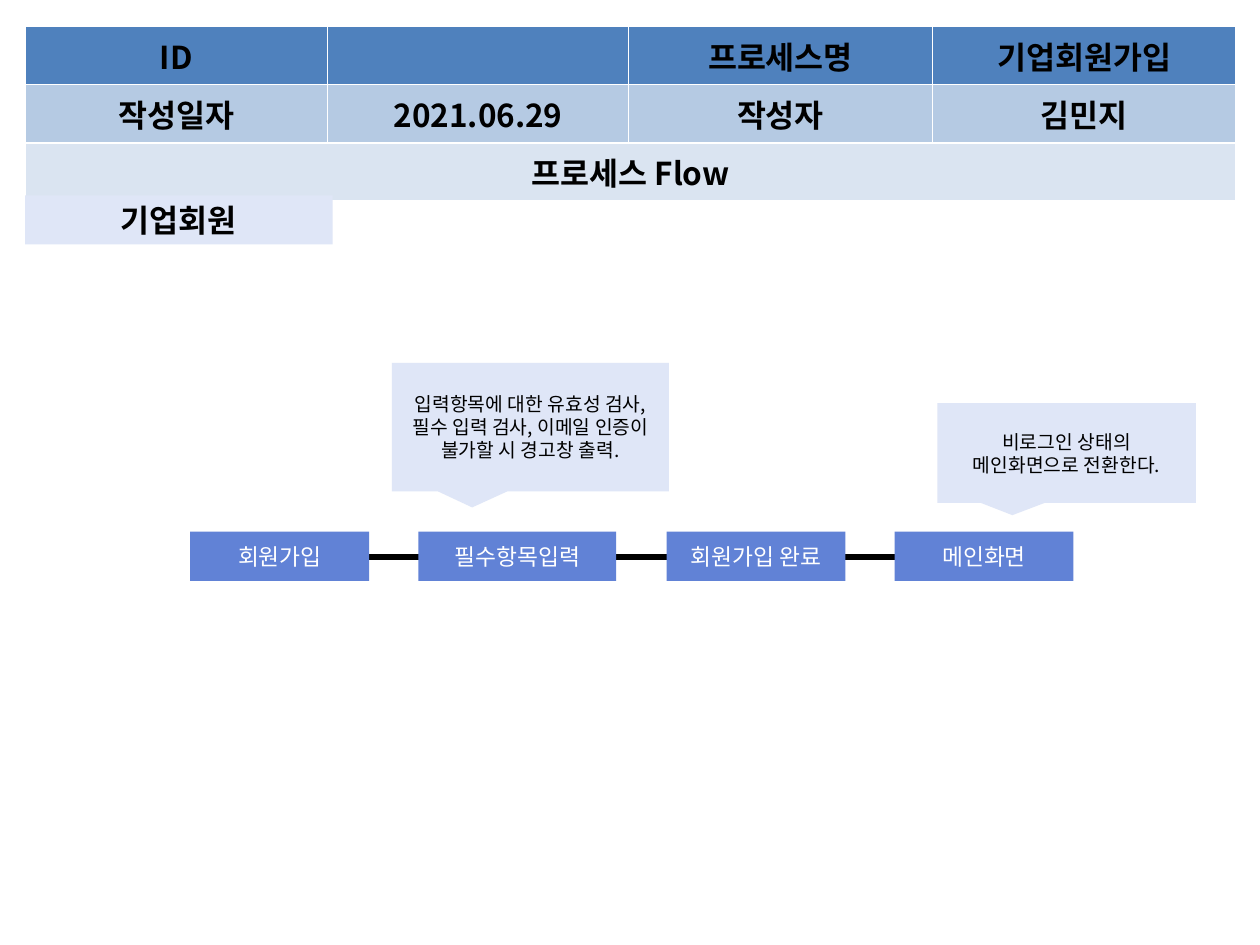
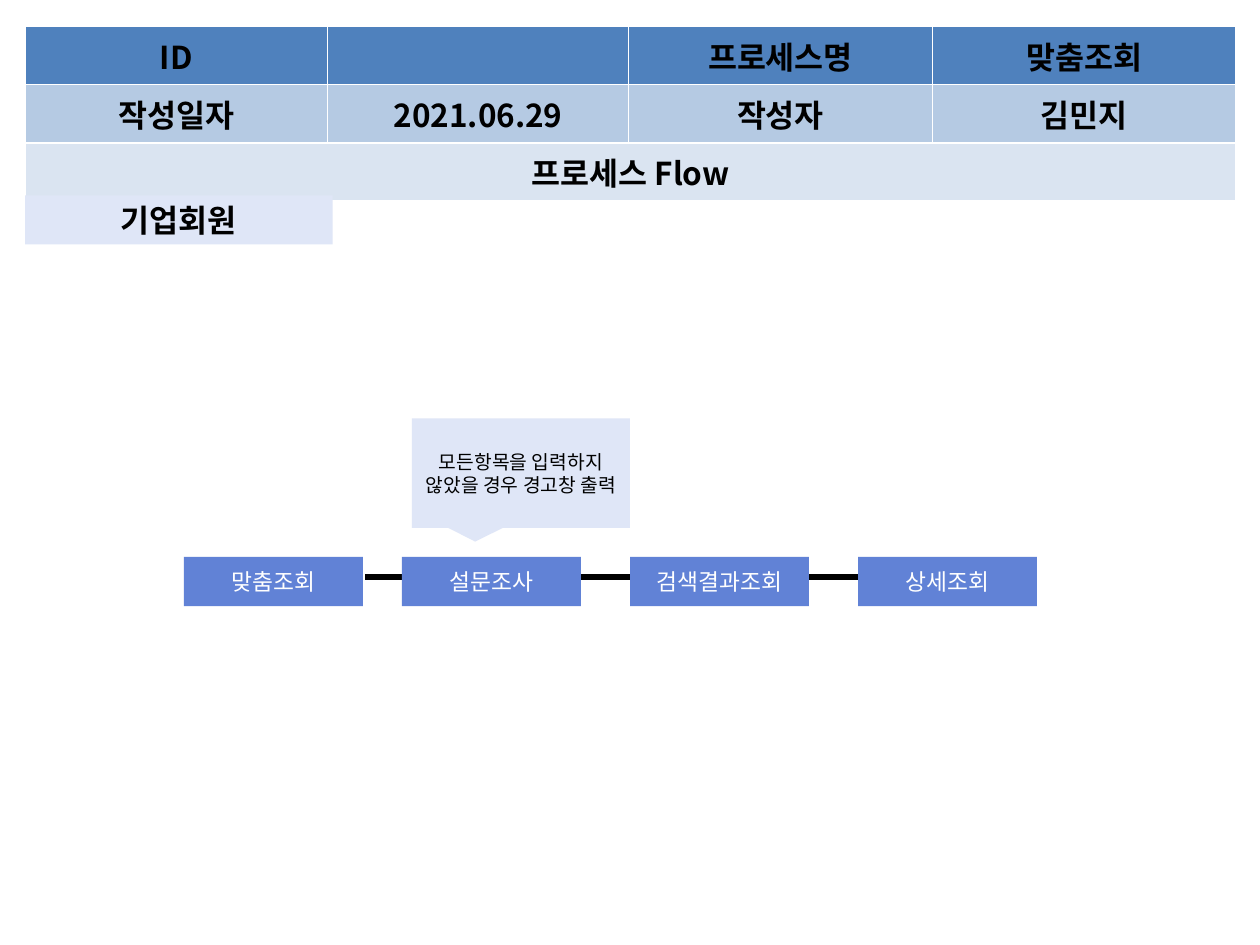
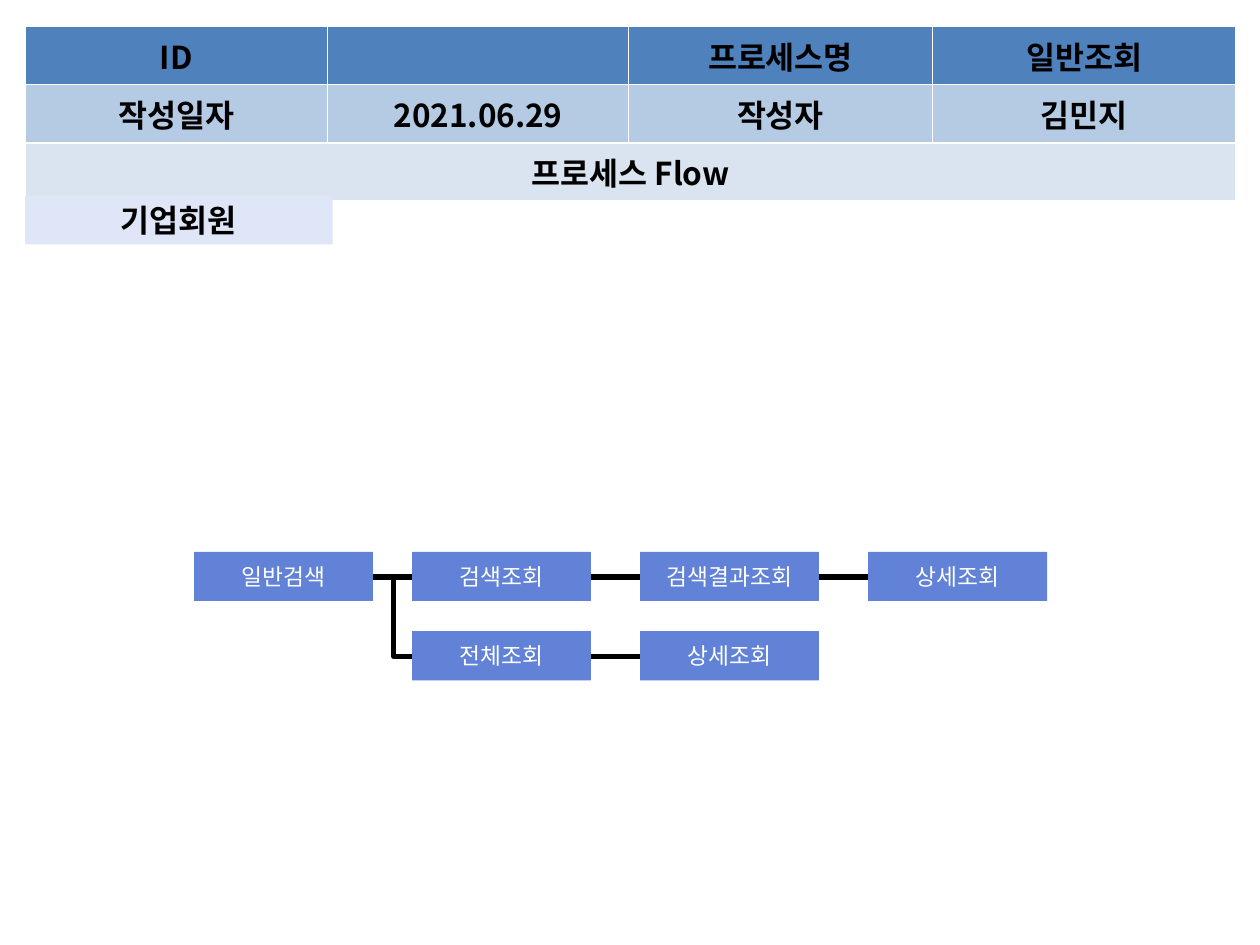
from dataclasses import dataclass

from lxml import etree
from pptx import Presentation
from pptx import util as u
from pptx.dml.color import RGBColor
from pptx.enum import shapes, text
from pptx.oxml.ns import qn

FONT = "Noto Sans CJK KR"
BLACK = "000000"
WHITE = "FFFFFF"
STEP_FILL = "6182D6"
PALE_FILL = "DFE6F7"
HEADER_FILLS = ("4F81BD", "B5CAE3", "DAE4F1")
COLUMN_WIDTHS = (1.02, 1.38, 2.39, 2.41, 2.41)
ROW_HEIGHT = 0.41
STEP_WIDTH = 1.42
STEP_HEIGHT = 0.39
STEP_PITCH = 1.81


@dataclass(frozen=True)
class Step:
    label: str
    left: float
    top: float
    width: float = STEP_WIDTH


@dataclass(frozen=True)
class Note:
    lines: tuple[str, ...]
    left: float
    top: float
    width: float
    height: float


@dataclass(frozen=True)
class Link:
    start: tuple[float, float]
    end: tuple[float, float]
    kind: shapes.MSO_CONNECTOR = shapes.MSO_CONNECTOR.STRAIGHT


@dataclass(frozen=True)
class Process:
    name: str
    links: tuple[Link, ...]
    steps: tuple[Step, ...]
    notes: tuple[Note, ...] = ()


def color(value: str) -> RGBColor:
    return RGBColor.from_string(value)


def step_row(labels: tuple[str, ...], left: float, top: float) -> tuple[Step, ...]:
    return tuple(Step(label, left + i * STEP_PITCH, top) for i, label in enumerate(labels))


def style_paragraph(paragraph, size: float, ink: str, bold: bool = False) -> None:
    paragraph.alignment = text.PP_ALIGN.CENTER
    font = paragraph.font
    font.size = u.Pt(size)
    font.bold = bold
    font.color.rgb = color(ink)
    font.name = FONT
    defaults = paragraph._p.pPr.find(qn("a:defRPr"))
    etree.SubElement(defaults, qn("a:ea"), typeface=FONT)


def add_box(slide, preset, bounds: tuple[float, ...], fill: str, lines: tuple[str, ...],
            size: float, ink: str, bold: bool = False):
    box = slide.shapes.add_shape(preset, *map(u.Inches, bounds))
    box.shadow.inherit = False
    box.fill.solid()
    box.fill.fore_color.rgb = color(fill)
    box.line.fill.background()
    frame = box.text_frame
    frame.word_wrap = True
    frame.vertical_anchor = text.MSO_ANCHOR.MIDDLE
    frame.text = "\n".join(lines)
    for paragraph in frame.paragraphs:
        style_paragraph(paragraph, size, ink, bold)
    return box


def add_header(slide, process_name: str) -> None:
    rows = (
        ("ID", "", "", "프로세스명", process_name),
        ("작성일자", "", "2021.06.29", "작성자", "김민지"),
        ("프로세스 Flow", "", "", "", ""),
    )
    table = slide.shapes.add_table(
        len(rows), len(COLUMN_WIDTHS), u.Inches(0.2), u.Inches(0.21),
        u.Inches(sum(COLUMN_WIDTHS)), u.Inches(ROW_HEIGHT * len(rows)),
    ).table
    for column, width in zip(table.columns, COLUMN_WIDTHS):
        column.width = u.Inches(width)
    for r, (labels, fill) in enumerate(zip(rows, HEADER_FILLS)):
        table.rows[r].height = u.Inches(ROW_HEIGHT)
        for c, label in enumerate(labels):
            cell = table.cell(r, c)
            cell.fill.solid()
            cell.fill.fore_color.rgb = color(fill)
            cell.text = label
            style_paragraph(cell.text_frame.paragraphs[0], 18, BLACK, True)
    for r, last_column in enumerate((1, 1, 4)):
        table.cell(r, 0).merge(table.cell(r, last_column))


def add_link(slide, link: Link) -> None:
    connector = slide.shapes.add_connector(
        link.kind, *map(u.Inches, (*link.start, *link.end)))
    connector.line.color.rgb = color(BLACK)
    connector.line.width = u.Pt(3)
    etree.SubElement(connector._element.spPr, qn("a:effectLst"))


def add_step(slide, step: Step) -> None:
    add_box(slide, shapes.MSO_SHAPE.RECTANGLE,
            (step.left, step.top, step.width, STEP_HEIGHT),
            STEP_FILL, (step.label,), 13, WHITE)


def add_note(slide, note: Note) -> None:
    callout = add_box(slide, shapes.MSO_SHAPE.RECTANGULAR_CALLOUT,
                      (note.left, note.top, note.width, note.height),
                      PALE_FILL, note.lines, 11, BLACK)
    callout.adjustments[0] = -0.21
    callout.adjustments[1] = 0.625


def add_process(deck, process: Process) -> None:
    slide = deck.slides.add_slide(deck.slide_layouts[6])
    add_header(slide, process.name)
    add_box(slide, shapes.MSO_SHAPE.RECTANGLE, (0.2, 1.55, 2.44, 0.39),
            PALE_FILL, ("기업회원",), 18, BLACK, True)
    for link in process.links:
        add_link(slide, link)
    for step in process.steps:
        add_step(slide, step)
    for note in process.notes:
        add_note(slide, note)


PROCESSES = (
    Process(
        "기업회원가입",
        links=(Link((1.51, 4.42), (8.49, 4.42)),),
        steps=(
            Step("회원가입", 1.51, 4.22),
            Step("필수항목입력", 3.32, 4.22, 1.57),
            *step_row(("회원가입 완료", "메인화면"), 5.29, 4.22),
        ),
        notes=(
            Note(("비로그인 상태의", "메인화면으로 전환한다."), 7.44, 3.2, 2.05, 0.79),
            Note(("입력항목에 대한 유효성 검사, 필수 입력 검사, 이메일 인증이 불가할 시 경고창 출력.",),
                 3.11, 2.88, 2.2, 1.02),
        ),
    ),
    Process(
        "맞춤조회",
        links=(Link((2.9, 4.58), (6.82, 4.58)),),
        steps=(
            Step("맞춤조회", 1.46, 4.42),
            *step_row(("설문조사", "검색결과조회", "상세조회"), 3.19, 4.42),
        ),
        notes=(
            Note(("모든항목을 입력하지 않았을 경우 경고창 출력",), 3.27, 3.32, 1.73, 0.87),
        ),
    ),
    Process(
        "일반조회",
        links=(
            Link((2.95, 4.58), (3.3, 5.21), shapes.MSO_CONNECTOR.ELBOW),
            Link((2.89, 4.58), (6.89, 4.58)),
            Link((4.69, 5.21), (5.08, 5.21)),
        ),
        steps=(
            Step("일반검색", 1.54, 4.38),
            *step_row(("검색조회", "검색결과조회", "상세조회"), 3.27, 4.38),
            *step_row(("전체조회", "상세조회"), 3.27, 5.01),
        ),
    ),
)


def main() -> None:
    deck = Presentation()
    deck.slide_width = u.Inches(10)
    deck.slide_height = u.Inches(7.5)
    for process in PROCESSES:
        add_process(deck, process)
    deck.save("out.pptx")


if __name__ == "__main__":
    main()
